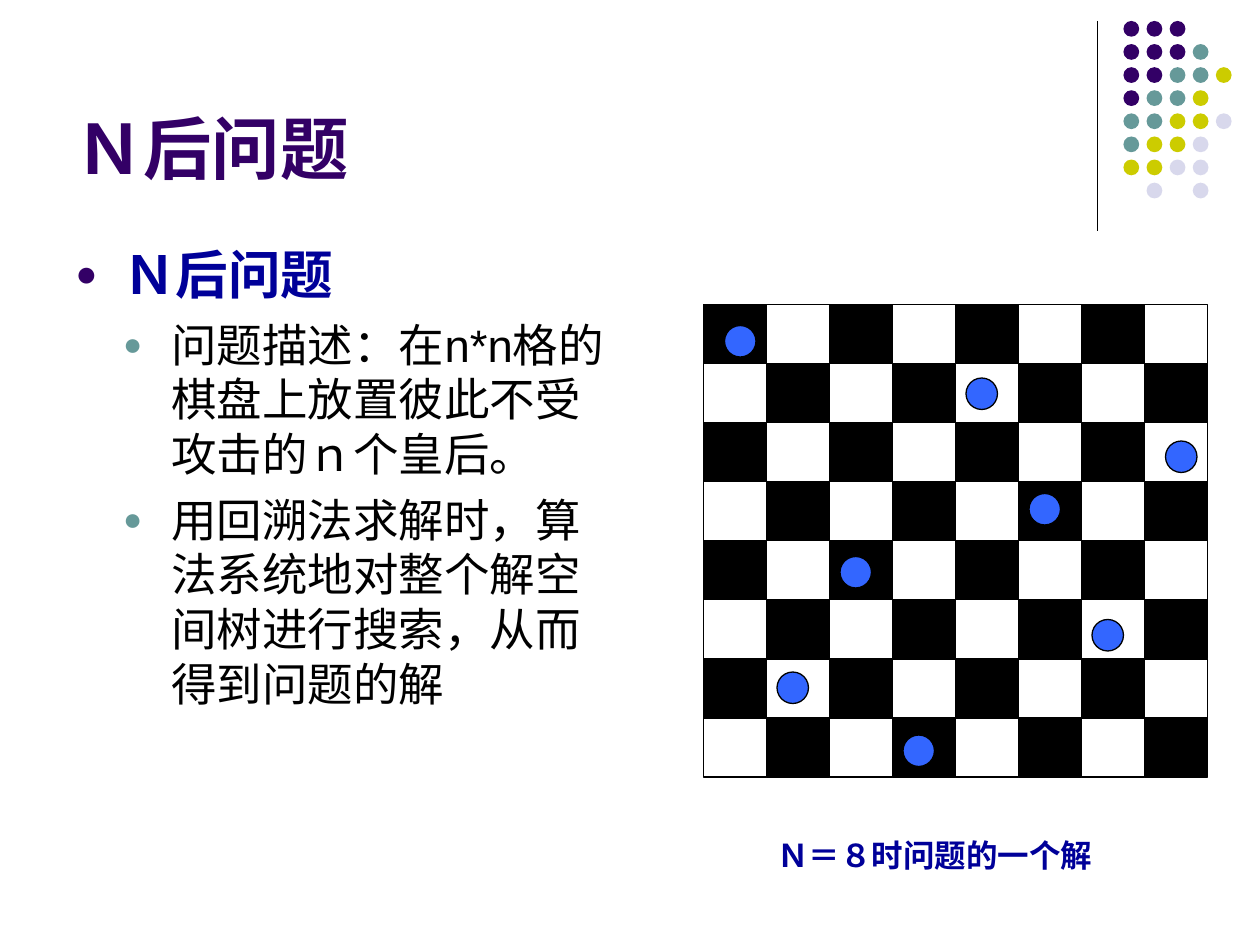
from itertools import product

from lxml.etree import SubElement
from pptx import Presentation
from pptx.dml.color import RGBColor
from pptx.enum.shapes import MSO_CONNECTOR, MSO_SHAPE
from pptx.enum.text import MSO_ANCHOR, PP_ALIGN
from pptx.oxml.ns import qn
from pptx.util import Inches, Pt

PURPLE, TEAL, LIME, LILAC = "330066", "669999", "CCCC00", "D8D8EC"
NAVY, BLUE, BLACK, WHITE = "000099", "3366FF", "000000", "FFFFFF"
DOT_COLOURS = {"P": PURPLE, "T": TEAL, "L": LIME, "I": LILAC}
DOT_ROWS = ["PPP", "PPPT", "PPTTL", "PTTL", "TTLLI", "TLLI", "LLII", " I I"]
QUEENS = [(69, 31), (92, 36), (111, 42), (98, 47),
          (80, 53), (104, 59), (74, 64), (86, 70)]
HEADING = {"size": Pt(30), "bold": True, "name": "Arial"}
DETAIL = {"size": Pt(26), "bold": False, "name": "Arial"}


def grid(*units):
    """Turn grid units of a twelfth of an inch into lengths."""
    return [Inches(unit / 12) for unit in units]


def colour(value):
    """Return the colour for a hex string."""
    return RGBColor.from_string(value)


def apply(target, values):
    """Set every attribute named in a dict of format values."""
    for name, value in values.items():
        setattr(target, name, value)


def add_figure(group, kind, place, fill, outline=None):
    """Add a filled shape, with a thin outline if one is given."""
    shape = group.shapes.add_shape(kind, *grid(*place))
    shape.shadow.inherit = False
    shape.fill.solid()
    shape.fill.fore_color.rgb = colour(fill)
    if outline:
        shape.line.color.rgb = colour(outline)
        shape.line.width = Pt(0.75)
    else:
        shape.line.fill.background()


def add_box(page, place, **frame_values):
    """Add a wrapping text box and return its text frame."""
    frame = page.shapes.add_textbox(*grid(*place)).text_frame
    apply(frame, {"word_wrap": True, **frame_values})
    return frame


def write(para, text, font_values, text_colour):
    """Write one formatted span into a paragraph."""
    span = para.add_run()
    span.text = text
    apply(span.font, font_values)
    span.font.color.rgb = colour(text_colour)


def add_bullet(para, level, bullet_colour):
    """Give a paragraph a hanging round bullet."""
    para.level = level
    props = para._p.get_or_add_pPr()
    props.set("marL", str(Inches(0.38 * (level + 1))))
    props.set("indent", str(-Inches(0.38)))
    tint = SubElement(props, qn("a:buClr"))
    SubElement(tint, qn("a:srgbClr"), val=bullet_colour)
    SubElement(props, qn("a:buSzPct"), val="70000")
    SubElement(props, qn("a:buFont"), typeface="Arial")
    SubElement(props, qn("a:buChar"), char="●")


def add_decoration(page):
    """Draw the upright rule and the coloured dots in the corner."""
    rule = page.shapes.add_connector(
        MSO_CONNECTOR.STRAIGHT, *grid(104.5, 2, 104.5, 22))
    rule.line.color.rgb = colour(BLACK)
    rule.line.width = Pt(0.75)
    SubElement(rule._element.spPr, qn("a:effectLst"))
    dots = page.shapes.add_group_shape()
    for row, keys in enumerate(DOT_ROWS):
        for column, key in enumerate(keys):
            if key in DOT_COLOURS:
                place = (107 + 2.2 * column, 2 + 2.2 * row, 1.5, 1.5)
                add_figure(dots, MSO_SHAPE.OVAL, place, DOT_COLOURS[key])


def add_board(page):
    """Draw the chessboard and its eight queens."""
    board = page.shapes.add_group_shape()
    width, height = 6, 45 / 8
    for row, column in product(range(8), repeat=2):
        place = (67 + column * width, 29 + row * height, width, height)
        fill = WHITE if (row + column) % 2 else BLACK
        add_figure(board, MSO_SHAPE.RECTANGLE, place, fill, BLACK)
    queens = page.shapes.add_group_shape()
    for left, top in QUEENS:
        add_figure(queens, MSO_SHAPE.OVAL, (left, top, 3, 3), BLUE, BLACK)


def add_title(page):
    """Write the slide title."""
    frame = add_box(page, (6, 1.5, 99, 17), vertical_anchor=MSO_ANCHOR.BOTTOM)
    write(frame.paragraphs[0], "Ｎ后问题", {**HEADING, "size": Pt(39)}, PURPLE)


def add_body(page):
    """Write the heading and the two points under it."""
    frame = add_box(page, (6, 22.5, 53, 58))
    heading = frame.paragraphs[0]
    add_bullet(heading, 0, PURPLE)
    write(heading, "Ｎ后问题", HEADING, NAVY)
    for text in ("问题描述：在n*n格的棋盘上放置彼此不受攻击的ｎ个皇后。",
                 "用回溯法求解时，算法系统地对整个解空间树进行搜索，从而得到问题的解"):
        para = frame.add_paragraph()
        add_bullet(para, 1, TEAL)
        para.space_before = Pt(6.5)
        write(para, text, DETAIL, BLACK)


def add_caption(page):
    """Write the centred caption under the board."""
    para = add_box(page, (69, 79, 40, 4.8)).paragraphs[0]
    para.alignment = PP_ALIGN.CENTER
    write(para, "Ｎ＝８时问题的一个解", {**HEADING, "size": Pt(18)}, NAVY)


def main():
    """Build the deck and save it."""
    deck = Presentation()
    apply(deck, {"slide_width": Inches(10), "slide_height": Inches(7.5)})
    page = deck.slides.add_slide(deck.slide_layouts[6])
    for add_part in (add_decoration, add_title, add_body, add_board, add_caption):
        add_part(page)
    deck.save("out.pptx")


if __name__ == "__main__":
    main()
